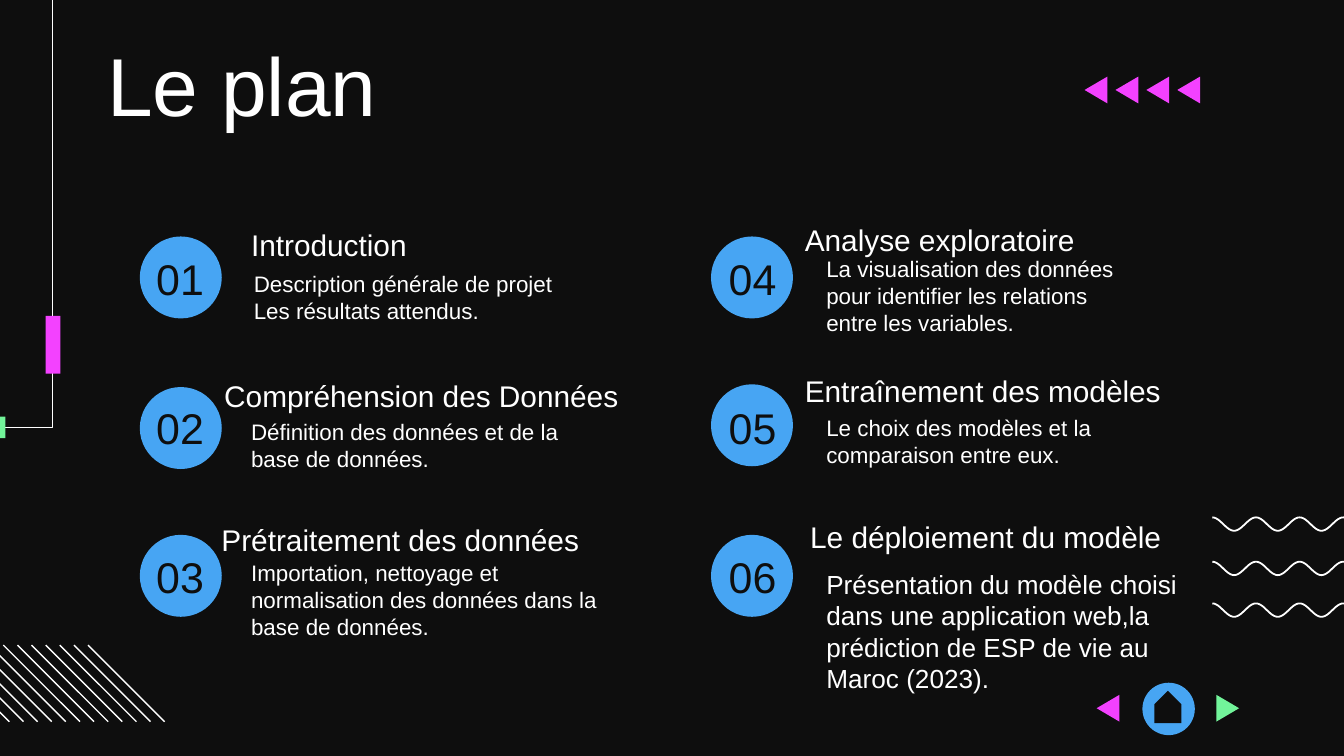
"""Build the "Le plan" agenda slide with six numbered topics."""
from math import cos, pi

from pptx import Presentation
from pptx.dml.color import RGBColor
from pptx.enum.shapes import MSO_CONNECTOR, MSO_SHAPE
from pptx.enum.text import PP_ALIGN
from pptx.oxml.ns import qn
from pptx.util import Inches, Pt
from lxml.etree import SubElement

COLORS = {"dark": "0E0E0E", "white": "FFFFFF", "blue": "47A5F3", "pink": "F341FF", "green": "72F49A"}
RGB = {name: RGBColor.from_string(code) for name, code in COLORS.items()}

deck = Presentation()
deck.slide_width, deck.slide_height = Inches(10), Inches(10 * 9 / 16)
page = deck.slides.add_slide(deck.slide_layouts[6])
page.background.fill.solid()
page.background.fill.fore_color.rgb = RGB["dark"]


def add_outline(points, fill=None, width=0.75):
    """Draw a filled polygon, or an open white line when no fill is given."""
    corners = [(Inches(x), Inches(y)) for x, y in points]
    builder = page.shapes.build_freeform(*corners[0])
    builder.add_line_segments(corners[1:], close=fill is not None)
    shape = builder.convert_to_shape()
    shape.shadow.inherit = False
    if fill:
        shape.fill.solid()
        shape.fill.fore_color.rgb = RGB[fill]
        shape.line.fill.background()
    else:
        shape.fill.background()
        shape.line.color.rgb = RGB["white"]
        shape.line.width = Pt(width)


def add_text(text, left, top, width, height, size, color="white", spacing=1.0, align=PP_ALIGN.LEFT):
    """Add a wrapped Arial text box without vertical padding above the text."""
    box = page.shapes.add_textbox(Inches(left), Inches(top), Inches(width), Inches(height))
    frame = box.text_frame
    frame.word_wrap = True
    frame.margin_left = frame.margin_right = frame.margin_bottom = Inches(0.1)
    frame.margin_top = 0
    frame.text = text
    for para in frame.paragraphs:
        para.alignment = align
        para.line_spacing = spacing
        for span in para.runs:
            span.font.name = "Arial"
            span.font.size = Pt(size)
            span.font.color.rgb = RGB[color]


HALF_WAVE, WAVE_HEIGHT, STEPS = 0.1625, 0.1, 12
for wave_top in (3.85, 4.18, 4.49):
    add_outline([(9.02 + HALF_WAVE * step / STEPS,
                  wave_top + WAVE_HEIGHT * (1 - cos(pi * step / STEPS)) / 2)
                 for step in range(7 * STEPS + 1)], width=0.95)

for index in range(12):
    hatch_left = -0.5 + 0.105 * index
    hatch = page.shapes.add_connector(MSO_CONNECTOR.STRAIGHT, Inches(hatch_left), Inches(4.8),
                                      Inches(hatch_left + 0.57), Inches(5.37))
    hatch.line.color.rgb = RGB["white"]
    hatch.line.width = Pt(0.75)
    SubElement(hatch._element.spPr, qn("a:effectLst"))

add_outline([(-3.93, 3.18), (0.39, 3.18), (0.39, -0.22)])

circles = [(left, top, 0.61, 0.61) for left, tops in
           ((1.04, (1.76, 2.88, 3.98)), (5.29, (1.76, 2.86, 3.98))) for top in tops]
presets = [(MSO_SHAPE.RECTANGLE, (-0.12, 3.1, 0.16, 0.16), "green", 0),
           (MSO_SHAPE.RECTANGLE, (0.34, 2.35, 0.11, 0.43), "pink", 0)]
presets += [(MSO_SHAPE.OVAL, circle, "blue", 0) for circle in circles]
presets += [(MSO_SHAPE.OVAL, (8.5, 5.08, 0.39, 0.39), "blue", 0),
            (MSO_SHAPE.PENTAGON, (8.57, 5.16, 0.24, 0.2), "dark", 270)]
for kind, place, color, rotation in presets:
    shape = page.shapes.add_shape(kind, *[Inches(value) for value in place])
    shape.shadow.inherit = False
    shape.fill.solid()
    shape.fill.fore_color.rgb = RGB[color]
    shape.line.fill.background()
    shape.rotation = rotation

add_text("Le plan", 0.7, 0.26, 8.44, 0.46, 44)

topics = [
    ("Introduction", (1.77, 1.65, 3.16),
     "Description générale de projet\nLes résultats attendus.", (1.79, 2.01, 2.91), 12),
    ("Compréhension des Données", (1.57, 2.77, 3.59),
     "Définition des données et de la base de données.", (1.77, 3.11, 2.57), 12),
    ("Prétraitement des données", (1.55, 3.84, 3.56),
     "Importation, nettoyage et normalisation des données dans la base de données.",
     (1.77, 4.16, 2.83), 12),
    ("Analyse exploratoire", (5.89, 1.61, 3.16),
     "La visualisation des données pour identifier les relations entre les variables.",
     (6.05, 1.9, 2.5), 12),
    ("Entraînement des modèles", (5.89, 2.73, 3.42),
     "Le choix des modèles et la comparaison entre eux.", (6.05, 3.08, 2.57), 12),
    ("Le déploiement du modèle", (5.93, 3.82, 4.07),
     "Présentation du modèle choisi dans une application web,la prédiction de ESP de vie "
     "au Maroc (2023).", (6.05, 4.23, 2.97), 14),
]
for index, (heading, heading_place, detail, detail_place, size) in enumerate(topics):
    column, row = divmod(index, 3)
    add_text(f"{index + 1:02}", (0.89, 5.15)[column], 1.88 + 1.11 * row, 0.9, 0.41, 23,
             "dark", align=PP_ALIGN.CENTER)
    add_text(heading, *heading_place, 0.39, 16, spacing=1.15)
    add_text(detail, *detail_place, 0.6, size)

arrows = [(8.76 - 0.23 * index, 0.57, "pink", False) for index in range(4)]
arrows += [(8.16, 5.17, "pink", False), (9.05, 5.17, "green", True)]
for left, top, color, points_right in arrows:
    base, tip = (left, left + 0.17) if points_right else (left + 0.17, left)
    add_outline([(base, top), (tip, top + 0.1), (base, top + 0.2)], color)

deck.save("out.pptx")
